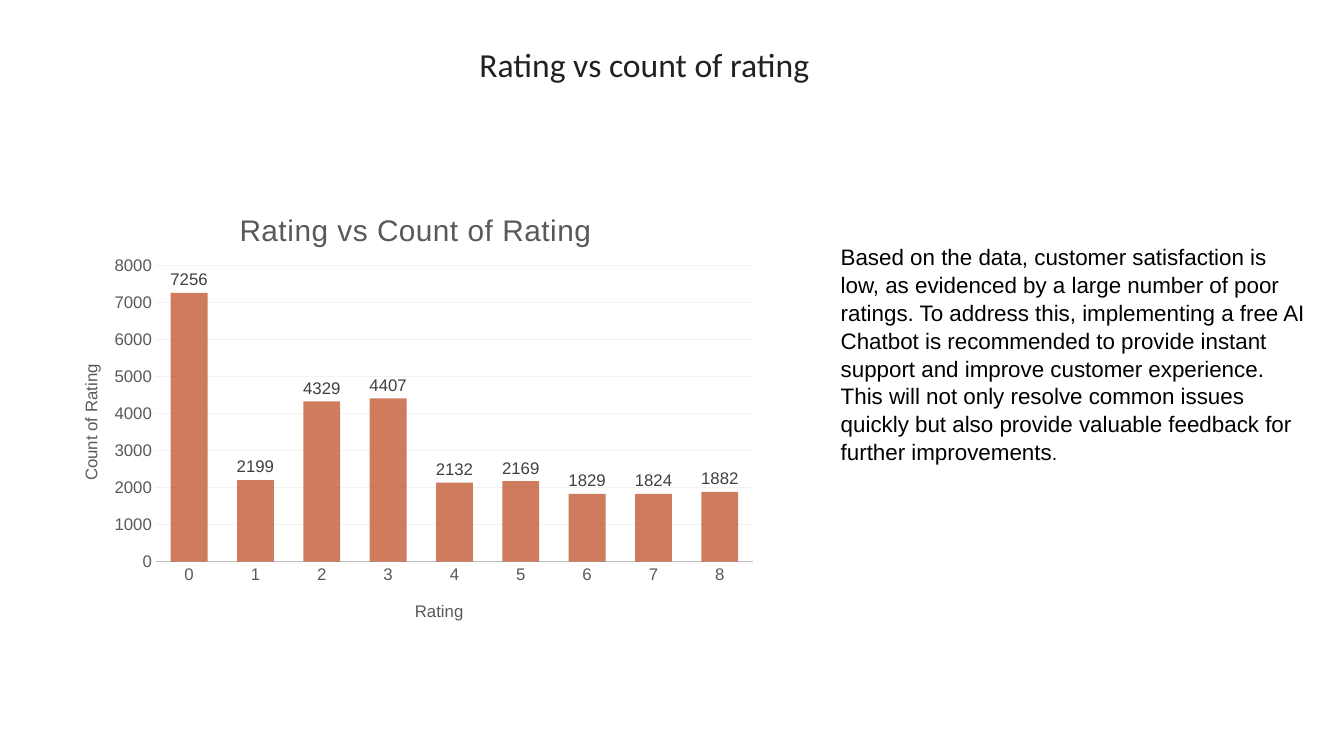
from dataclasses import dataclass

from lxml import etree
from pptx import Presentation
from pptx.chart.data import CategoryChartData
from pptx.dml.color import RGBColor
from pptx.enum.chart import XL_CHART_TYPE, XL_LABEL_POSITION, XL_TICK_MARK
from pptx.enum.text import MSO_ANCHOR, MSO_AUTO_SIZE, PP_ALIGN
from pptx.oxml import parse_xml
from pptx.oxml.ns import qn
from pptx.util import Inches, Pt

COLUMNS = XL_CHART_TYPE.COLUMN_CLUSTERED
OUTSIDE_END = XL_LABEL_POSITION.OUTSIDE_END
NO_TICK = XL_TICK_MARK.NONE
DRAWING_NS = "http://schemas.openxmlformats.org/drawingml/2006/main"
CHART_NS = "http://schemas.openxmlformats.org/drawingml/2006/chart"

TITLE = "Rating vs count of rating"
ADVICE = (
    "Based on the data, customer satisfaction is low, as evidenced by a large "
    "number of poor ratings. To address this, implementing a free AI Chatbot is "
    "recommended to provide instant support and improve customer experience. "
    "This will not only resolve common issues quickly but also provide valuable "
    "feedback for further improvements"
)
CHART_TITLE = "Rating vs Count of Rating"
CATEGORY_TITLE = "Rating"
VALUE_TITLE = "Count of Rating"
RATING_COUNTS = {
    "0": 7256, "1": 2199, "2": 4329, "3": 4407, "4": 2132,
    "5": 2169, "6": 1829, "7": 1824, "8": 1882,
}

# Left, top, width, height in inches
TITLE_BOX = (4.54, 0.16, 3.7, 0.73)
ADVICE_BOX = (8.24, 2.35, 4.83, 2.41)
CHART_BOX = (0.56, 1.82, 7.05, 4.52)

# Fractions of the chart area
PLOT_PLACE = {"x": 0.14, "y": 0.18, "w": 0.84, "h": 0.65}
CHART_TITLE_PLACE = {"x": 0.25, "y": 0.05}
CATEGORY_TITLE_PLACE = {"x": 0.5, "y": 0.91}
VALUE_TITLE_PLACE = {"x": 0.03, "y": 0.39}


@dataclass(frozen=True)
class Theme:
    heading_font: str = "Calibri"
    body_font: str = "Arial"
    heading: str = "212123"
    body: str = "000000"
    axis: str = "595959"
    label: str = "404040"
    axis_line: str = "BFBFBF"
    grid: str = "F2F2F2"
    bar: str = "BC451B"
    bar_opacity: int = 70
    heading_size: float = 24
    body_size: float = 16
    stop_size: float = 14
    chart_title_size: float = 21.3
    chart_size: float = 12


THEME = Theme()


def color(value):
    return RGBColor.from_string(value)


def inches(box):
    return [Inches(length) for length in box]


def style_font(font, *, size, fill, name=THEME.body_font):
    font.name = name
    font.size = Pt(size)
    font.bold = False
    font.color.rgb = color(fill)


def add_span(para, text, **style):
    span = para.add_run()
    span.text = text
    style_font(span.font, **style)
    return span


def place(element, following, fractions, inner=False):
    """Fix a chart part at fractions of the chart area, before the following tag."""
    for old in element.findall(qn("c:layout")):
        element.remove(old)
    layout = etree.Element(qn("c:layout"))
    manual = etree.SubElement(layout, qn("c:manualLayout"))
    settings = {"layoutTarget": "inner"} if inner else {}
    settings.update(xMode="edge", yMode="edge", **fractions)
    for tag, value in settings.items():
        etree.SubElement(manual, f"{{{CHART_NS}}}{tag}").set("val", str(value))
    element.find(qn(following)).addprevious(layout)


def add_heading(page):
    box = page.shapes.title
    box.left, box.top, box.width, box.height = inches(TITLE_BOX)
    frame = box.text_frame
    frame.auto_size = MSO_AUTO_SIZE.NONE
    frame.vertical_anchor = MSO_ANCHOR.BOTTOM
    para = frame.paragraphs[0]
    para.alignment = PP_ALIGN.CENTER
    span = add_span(para, TITLE, size=THEME.heading_size, fill=THEME.heading,
                    name=THEME.heading_font)
    shadow = parse_xml(
        f'<a:effectLst xmlns:a="{DRAWING_NS}">'
        '<a:outerShdw blurRad="38100" dist="25400" dir="2700000" algn="tl">'
        '<a:srgbClr val="000000"><a:alpha val="43000"/></a:srgbClr>'
        "</a:outerShdw></a:effectLst>"
    )
    span.font.fill._xPr.find(qn("a:solidFill")).addnext(shadow)


def add_advice(page):
    frame = page.shapes.add_textbox(*inches(ADVICE_BOX)).text_frame
    frame.word_wrap = True
    para = frame.paragraphs[0]
    para.line_spacing = 1.04
    add_span(para, ADVICE, size=THEME.body_size, fill=THEME.body)
    add_span(para, ".", size=THEME.stop_size, fill=THEME.body)


def title_part(part, text, size, fractions):
    """Title a chart or an axis and return the text span."""
    part.has_title = True
    title = part.chart_title if hasattr(part, "chart_title") else part.axis_title
    span = add_span(title.text_frame.paragraphs[0], text, size=size, fill=THEME.axis)
    place(title._element, "c:overlay", fractions)
    return span


def style_axis(axis, text, fractions):
    axis.major_tick_mark = axis.minor_tick_mark = NO_TICK
    style_font(axis.tick_labels.font, size=THEME.chart_size, fill=THEME.axis)
    title_part(axis, text, THEME.chart_size, fractions)


def style_bars(plot):
    plot.gap_width = 80
    plot.overlap = 25
    plot.vary_by_categories = False
    series = plot.series[0]
    fill = series.format.fill
    fill.solid()
    fill.fore_color.rgb = color(THEME.bar)
    bar_color = series._element.find(".//" + qn("a:srgbClr"))
    etree.SubElement(bar_color, qn("a:alpha")).set("val", str(THEME.bar_opacity * 1000))
    series.format.line.fill.background()
    labels = series.data_labels
    labels.show_value = True
    labels.position = OUTSIDE_END
    style_font(labels.font, size=THEME.chart_size, fill=THEME.label)


def add_rating_chart(page):
    data = CategoryChartData()
    data.categories = list(RATING_COUNTS)
    data.add_series("Series 1", list(RATING_COUNTS.values()))
    chart = page.shapes.add_chart(COLUMNS, *inches(CHART_BOX), data).chart
    chart.has_legend = False
    style_font(chart.font, size=THEME.chart_size, fill=THEME.body)
    span = title_part(chart, CHART_TITLE, THEME.chart_title_size, CHART_TITLE_PLACE)
    span.font._element.set("spc", "50")
    style_bars(chart.plots[0])

    style_axis(chart.category_axis, CATEGORY_TITLE, CATEGORY_TITLE_PLACE)
    line = chart.category_axis.format.line
    line.color.rgb = color(THEME.axis_line)
    line.width = Pt(1.25)

    value_axis = chart.value_axis
    style_axis(value_axis, VALUE_TITLE, VALUE_TITLE_PLACE)
    value_axis.minimum_scale, value_axis.maximum_scale = 0, 8000
    value_axis.major_unit = 1000
    value_axis.format.line.fill.background()
    grid = value_axis.major_gridlines.format.line
    grid.color.rgb = color(THEME.grid)
    grid.width = Pt(0.75)
    plot_area = chart._chartSpace.find(".//" + qn("c:plotArea"))
    place(plot_area, "c:barChart", PLOT_PLACE, inner=True)


def main():
    deck = Presentation()
    deck.slide_width, deck.slide_height = Inches(13.33), Inches(7.5)
    page = deck.slides.add_slide(deck.slide_layouts[5])
    add_heading(page)
    add_advice(page)
    add_rating_chart(page)
    deck.save("out.pptx")


if __name__ == "__main__":
    main()
